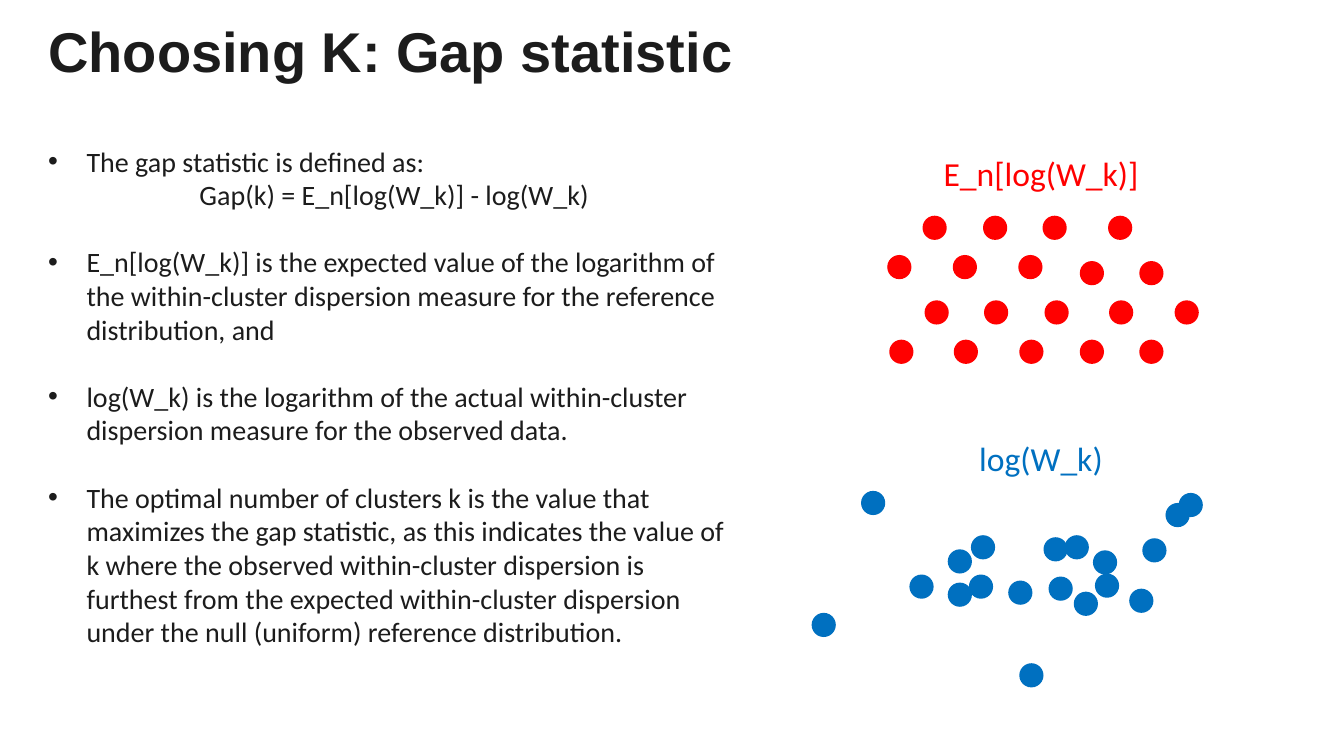
from collections import namedtuple

from lxml import etree
from pptx import Presentation
from pptx.dml.color import RGBColor
from pptx.enum.shapes import MSO_SHAPE
from pptx.enum.text import MSO_ANCHOR, MSO_AUTO_SIZE, PP_ALIGN
from pptx.oxml.ns import qn
from pptx.util import Inches, Pt

INK = RGBColor(0x1C, 0x1C, 0x1C)
RED = RGBColor(0xFF, 0x00, 0x00)
BLUE = RGBColor(0x00, 0x70, 0xC0)

DOT_SIZE = 0.24
BULLET_INDENT = 0.38
FORMULA_INDENT = 1.5

Box = namedtuple("Box", "left top width height")

FORMULA = "Gap(k) = E_n[log(W_k)] - log(W_k)"
BULLETS = [
    "The gap statistic is defined as:",
    "E_n[log(W_k)] is the expected value of the logarithm of the within-cluster "
    "dispersion measure for the reference distribution, and",
    "log(W_k) is the logarithm of the actual within-cluster dispersion measure "
    "for the observed data.",
    "The optimal number of clusters k is the value that maximizes the gap "
    "statistic, as this indicates the value of k where the observed "
    "within-cluster dispersion is furthest from the expected within-cluster "
    "dispersion under the null (uniform) reference distribution.",
]

# Dot corners in inches from the corner of their panel
REFERENCE_ROWS = {
    0.67: (1.15, 1.75, 2.34, 2.99),
    1.06: (0.8, 1.45, 2.1),
    1.12: (2.71, 3.3),
    1.51: (1.17, 1.76, 2.36, 3.0, 3.65),
    1.9: (0.82, 1.46, 2.11, 2.71, 3.3),
}
REFERENCE_DOTS = [(x, y) for y, row in REFERENCE_ROWS.items() for x in row]
OBSERVED_DOTS = [
    (1.4, 1.15), (3.56, 0.69), (0.54, 0.57), (1.63, 1.01), (2.35, 1.03),
    (0.05, 1.78), (1.4, 1.48), (1.02, 1.4), (1.61, 1.4), (2.0, 1.46),
    (2.11, 2.28), (3.69, 0.59), (2.4, 1.42), (2.86, 1.39), (2.56, 1.01),
    (2.84, 1.16), (3.33, 1.04), (2.65, 1.57), (3.2, 1.54),
]


def inches(box):
    return [Inches(length) for length in box]


def write(para, text, size=20, color=INK, font="Calibri", bold=False,
          align=PP_ALIGN.LEFT, indent=0, bullet=False, before=0):
    para.alignment = align
    properties = para._p.get_or_add_pPr()
    if indent:
        properties.set("marL", str(Inches(indent)))
        properties.set("indent", str(-Inches(indent) if bullet else 0))
    if before:
        para.space_before = Pt(before)
    if bullet:
        etree.SubElement(properties, qn("a:buFont"), typeface="Arial")
        etree.SubElement(properties, qn("a:buChar"), char="•")
    span = para.add_run()
    span.text = text
    span.font.size = Pt(size)
    span.font.name = font
    span.font.bold = bold
    span.font.color.rgb = color


def add_text_frame(page, box):
    frame = page.shapes.add_textbox(*inches(box)).text_frame
    frame.word_wrap = True
    return frame


def add_title(page, box):
    title = page.shapes.title
    title.left, title.top, title.width, title.height = inches(box)
    frame = title.text_frame
    frame.auto_size = MSO_AUTO_SIZE.NONE
    frame.vertical_anchor = MSO_ANCHOR.MIDDLE
    para = frame.paragraphs[0]
    para.line_spacing = 0.9
    write(para, "Choosing K: Gap statistic", size=40, font="Arial", bold=True)


def add_explanation(page, box):
    frame = add_text_frame(page, box)
    first, *others = BULLETS
    write(frame.paragraphs[0], first, indent=BULLET_INDENT, bullet=True)
    write(frame.add_paragraph(), FORMULA, indent=FORMULA_INDENT)
    for text in others:
        write(frame.add_paragraph(), text, indent=BULLET_INDENT, bullet=True,
              before=24)


def add_dot_panel(page, box, label, dots, color):
    """Place a centred label at the top of the box and dots below it."""
    frame = add_text_frame(page, box._replace(height=0.5))
    write(frame.paragraphs[0], label, size=24, color=color,
          align=PP_ALIGN.CENTER)
    for x, y in dots:
        place = Box(box.left + x, box.top + y, DOT_SIZE, DOT_SIZE)
        dot = page.shapes.add_shape(MSO_SHAPE.OVAL, *inches(place))
        dot.shadow.inherit = False
        dot.fill.solid()
        dot.fill.fore_color.rgb = color
        dot.line.fill.background()


def main():
    deck = Presentation()
    deck.slide_width, deck.slide_height = Inches(13.33), Inches(7.5)
    page = deck.slides.add_slide(deck.slide_layouts.get_by_name("Title Only"))
    add_title(page, Box(0.38, 0.17, 11.14, 0.74))
    add_explanation(page, Box(0.38, 1.38, 6.91, 5.15))
    add_dot_panel(page, Box(8, 1.47, 4.65, 2.2), "E_n[log(W_k)]",
                  REFERENCE_DOTS, RED)
    add_dot_panel(page, Box(8, 4.3, 4.65, 2.6), "log(W_k)",
                  OBSERVED_DOTS, BLUE)
    deck.save("out.pptx")


if __name__ == "__main__":
    main()
